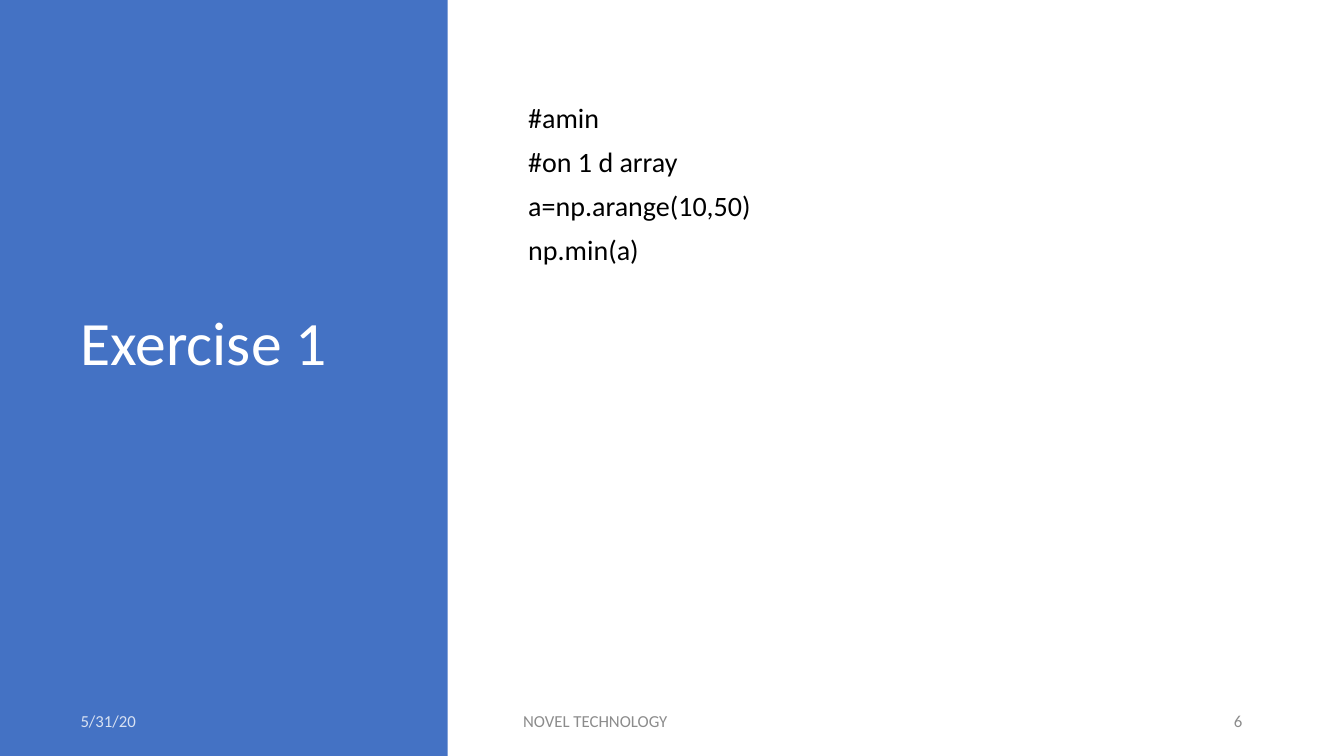
from pptx import Presentation
from pptx.dml.color import RGBColor
from pptx.enum.shapes import MSO_SHAPE
from pptx.enum.text import MSO_ANCHOR, PP_ALIGN
from pptx.oxml.ns import qn
from pptx.util import Inches, Pt
from lxml import etree

RECT = MSO_SHAPE.RECTANGLE
MIDDLE = MSO_ANCHOR.MIDDLE
LEFT, RIGHT = PP_ALIGN.LEFT, PP_ALIGN.RIGHT

FONT = "Calibri"
COLORS = {"panel": "4472C4", "white": "FFFFFF", "black": "000000", "grey": "8C8C8C"}

TITLE = "Exercise 1"
CODE = ["#amin", "#on 1 d array", "a=np.arange(10,50)", "np.min(a)"]
# text, left, width, colour, opacity in percent, alignment
FOOTERS = [
    ("5/31/20", 0.7, 3.21, "white", 80, LEFT),
    ("NOVEL TECHNOLOGY", 5.09, 6.25, "grey", 100, LEFT),
    ("6", 11.52, 0.9, "grey", 100, RIGHT),
]
FOOTER_TOP, FOOTER_HEIGHT = 6.95, 0.4


def add_panel(s, left, top, width, height, color):
    """Add a plain filled rectangle."""
    sp = s.shapes.add_shape(RECT, *map(Inches, (left, top, width, height)))
    sp.shadow.inherit = False
    sp.fill.solid()
    sp.fill.fore_color.rgb = RGBColor.from_string(COLORS[color])
    sp.line.fill.background()


def add_text(s, box, lines, size, color, opacity=100, align=LEFT,
             spacing=1.0, before=0, after=0):
    """Add a vertically centred text box with one paragraph per line."""
    tf = s.shapes.add_textbox(*map(Inches, box)).text_frame
    tf.word_wrap = True
    tf.vertical_anchor = MIDDLE
    for i, line in enumerate(lines):
        p = tf.add_paragraph() if i else tf.paragraphs[0]
        p.alignment = align
        p.line_spacing = spacing
        p.space_before, p.space_after = Pt(before), Pt(after)
        r = p.add_run()
        r.text = line
        r.font.name, r.font.size = FONT, Pt(size)
        r.font.color.rgb = RGBColor.from_string(COLORS[color])
        if opacity < 100:
            clr = r.font.fill._xPr.find(".//" + qn("a:srgbClr"))
            etree.SubElement(clr, qn("a:alpha")).set("val", str(opacity * 1000))


prs = Presentation()
prs.slide_width, prs.slide_height = Inches(13.33), Inches(7.5)
s = prs.slides.add_slide(prs.slide_layouts[6])

add_panel(s, -0.01, 0, 4.45, 7.5, "panel")
add_text(s, (0.7, 0.7, 3.39, 5.45), [TITLE], 44, "white", spacing=0.9)
add_text(s, (5.14, 0.7, 7.49, 2.28), CODE, 20, "black", spacing=0.9, before=10)
for text, left, width, color, opacity, align in FOOTERS:
    add_text(s, (left, FOOTER_TOP, width, FOOTER_HEIGHT), [text], 12, color,
             opacity, align, after=6)

prs.save("out.pptx")
